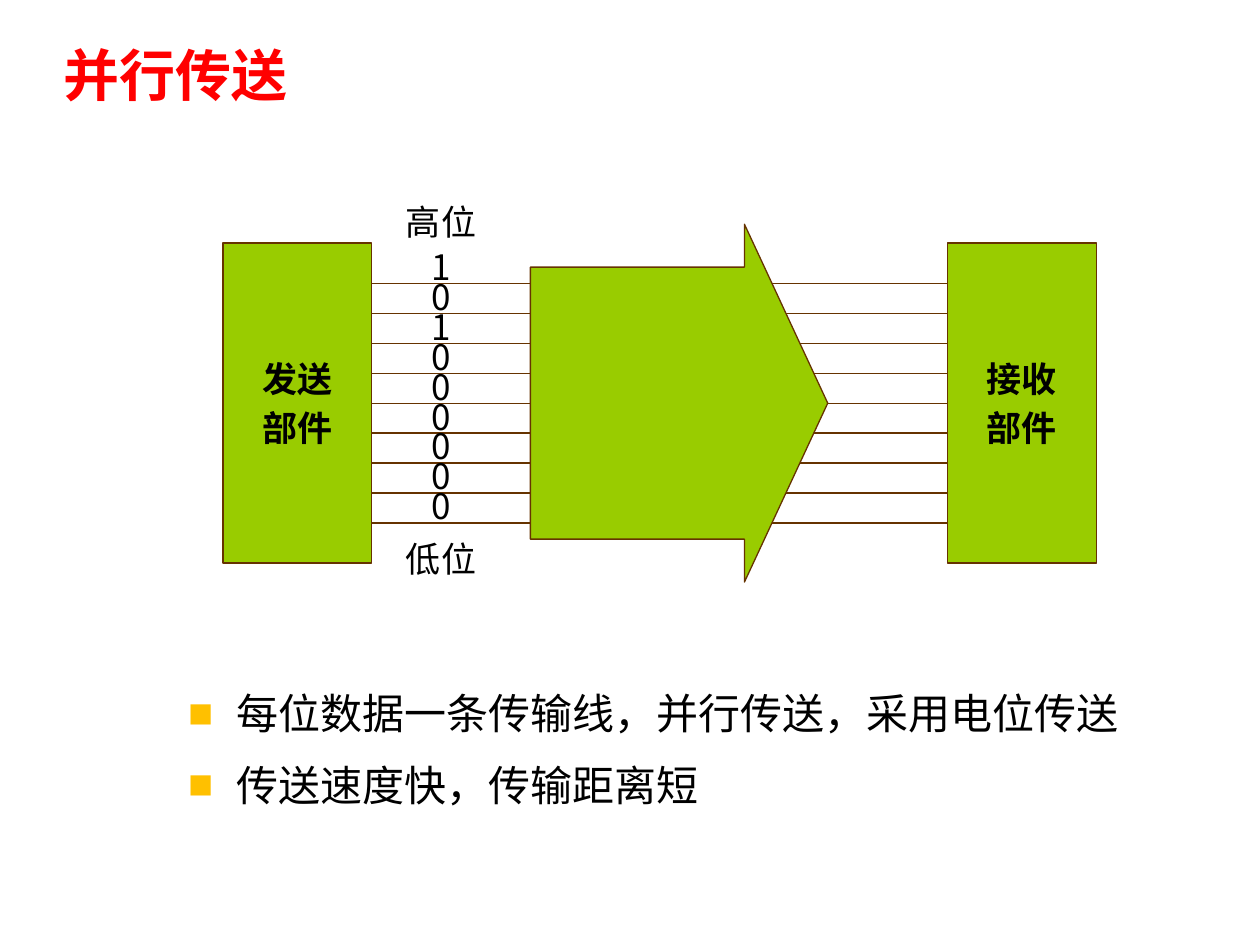
from dataclasses import dataclass

from lxml import etree
from pptx import Presentation
from pptx.dml.color import RGBColor
from pptx.enum.shapes import MSO_CONNECTOR, MSO_SHAPE
from pptx.enum.text import MSO_ANCHOR, PP_ALIGN
from pptx.oxml.ns import qn
from pptx.util import Inches, Pt

RECT, ARROW = MSO_SHAPE.RECTANGLE, MSO_SHAPE.RIGHT_ARROW
LINE = MSO_CONNECTOR.STRAIGHT
LEFT, CENTER = PP_ALIGN.LEFT, PP_ALIGN.CENTER
TOP, MIDDLE = MSO_ANCHOR.TOP, MSO_ANCHOR.MIDDLE


@dataclass(frozen=True)
class Theme:
    """Hold the colours, font and type sizes."""
    face: str = "Noto Sans CJK SC"
    green: str = "99CC00"
    brown: str = "663300"
    red: str = "FF0000"
    black: str = "000000"
    gold: str = "FFC000"
    head: int = 32
    body: int = 24
    label: int = 20
    rule: float = 0.75


THEME = Theme()


def color(code):
    """Turn a hex code into a colour."""
    return RGBColor.from_string(code)


def put(item, values):
    """Set each attribute of an item from a dict."""
    for name, value in values.items():
        setattr(item, name, value)


def add_bullet(para):
    """Give a paragraph a gold square bullet with a hanging indent."""
    props = para._p.get_or_add_pPr()
    props.set("marL", str(Inches(0.38)))
    props.set("indent", str(-Inches(0.38)))
    tint = etree.SubElement(props, qn("a:buClr"))
    etree.SubElement(tint, qn("a:srgbClr"), val=THEME.gold)
    etree.SubElement(props, qn("a:buSzPct"), val="60000")
    etree.SubElement(props, qn("a:buFont"), typeface=THEME.face)
    etree.SubElement(props, qn("a:buChar"), char="■")


def write(frame, lines, size, tint=THEME.black, bold=False, align=CENTER,
          space=1.0, gap=0, bullet=False):
    """Fill a text frame with one paragraph for each line."""
    for i, line in enumerate(lines):
        para = frame.paragraphs[0] if i == 0 else frame.add_paragraph()
        put(para, {"alignment": align, "line_spacing": space,
                   "space_before": Pt(gap if i else 0)})
        if bullet:
            add_bullet(para)
        run = para.add_run()
        run.text = line
        put(run.font, {"size": Pt(size), "bold": bold, "name": THEME.face})
        run.font.color.rgb = color(tint)
        etree.SubElement(run._r.get_or_add_rPr(), qn("a:ea"),
                         typeface=THEME.face)


def add_block(slide, kind, box):
    """Add a green shape with a brown outline."""
    shape = slide.shapes.add_shape(kind, *map(Inches, box))
    shape.shadow.inherit = False
    shape.fill.solid()
    shape.fill.fore_color.rgb = color(THEME.green)
    shape.line.color.rgb = color(THEME.brown)
    shape.line.width = Pt(THEME.rule)
    return shape


def add_unit(slide, box, lines):
    """Add a sending or receiving unit with its name."""
    unit = add_block(slide, RECT, box)
    put(unit.text_frame, {"word_wrap": False, "vertical_anchor": MIDDLE})
    write(unit.text_frame, lines, THEME.label, bold=True, gap=4)
    return unit


def add_wire(slide, start, end, row):
    """Add one level wire."""
    wire = slide.shapes.add_connector(
        LINE, *map(Inches, (start, row, end, row)))
    wire.line.color.rgb = color(THEME.brown)
    wire.line.width = Pt(THEME.rule)
    etree.SubElement(wire._element.spPr, qn("a:effectLst"))
    return wire


def add_label(slide, mid, top, wide, text):
    """Add a short label centred on a given x."""
    box = (mid - wide / 2, top, wide, 0.43)
    frame = slide.shapes.add_textbox(*map(Inches, box)).text_frame
    put(frame, {"word_wrap": True, "vertical_anchor": MIDDLE,
                "margin_left": 0, "margin_right": 0,
                "margin_top": 0, "margin_bottom": 0})
    write(frame, [text], THEME.label)


def add_title(slide, box, text):
    """Place and format the title."""
    title = slide.shapes.title
    put(title, dict(zip(("left", "top", "width", "height"),
                        map(Inches, box))))
    put(title.text_frame, {"word_wrap": True, "vertical_anchor": MIDDLE})
    write(title.text_frame, [text], THEME.head, THEME.red, True, LEFT, 0.9)


def add_diagram(slide, box, bits):
    """Draw two units, the wires, the bits and the arrow in a box."""
    left, top, width, height = box
    wide, tall = 1.18, 2.54
    right, mid = left + width - wide, top + height / 2
    edge, shaft = left + wide, left + 2.44
    step = 1.9 / (len(bits) - 1)
    rows = [mid - 0.95 + step * i for i in range(len(bits))]
    high = mid - tall / 2
    send = add_unit(slide, (left, high, wide, tall), ["发送", "部件"])
    take = add_unit(slide, (right, high, wide, tall), ["接收", "部件"])
    for i, row in enumerate(rows):
        first = add_wire(slide, edge, shaft, row)
        last = add_wire(slide, shaft + 1.74, right, row)
        if i == len(rows) // 2:
            first.begin_connect(send, 3)
            last.end_connect(take, 1)
    arrow = add_block(slide, ARROW, (shaft, top, 2.36, height))
    arrow.adjustments[0], arrow.adjustments[1] = 0.76, 0.28
    axis = edge + 0.55
    for row, bit in zip(rows, bits):
        add_label(slide, axis, row - 0.35, 0.47, bit)
    add_label(slide, axis, rows[0] - 0.71, 0.79, "高位")
    add_label(slide, axis, rows[-1] + 0.07, 0.79, "低位")


def add_notes(slide, box, lines):
    """Add the bulleted remarks."""
    frame = slide.shapes.add_textbox(*map(Inches, box)).text_frame
    put(frame, {"word_wrap": True, "vertical_anchor": TOP})
    write(frame, lines, THEME.body, align=LEFT, space=1.25, gap=4.8,
          bullet=True)


def main():
    """Build and save the slide."""
    deck = Presentation()
    put(deck, {"slide_width": Inches(10), "slide_height": Inches(7.5)})
    slide = deck.slides.add_slide(deck.slide_layouts[5])
    add_title(slide, (0.4, 0.28, 8.62, 0.68), "并行传送")
    add_diagram(slide, (1.77, 1.78, 6.93, 2.84), "101000000")
    add_notes(slide, (1.4, 5.31, 8.6, 1.32),
              ["每位数据一条传输线，并行传送，采用电位传送",
               "传送速度快，传输距离短"])
    deck.save("out.pptx")


if __name__ == "__main__":
    main()
